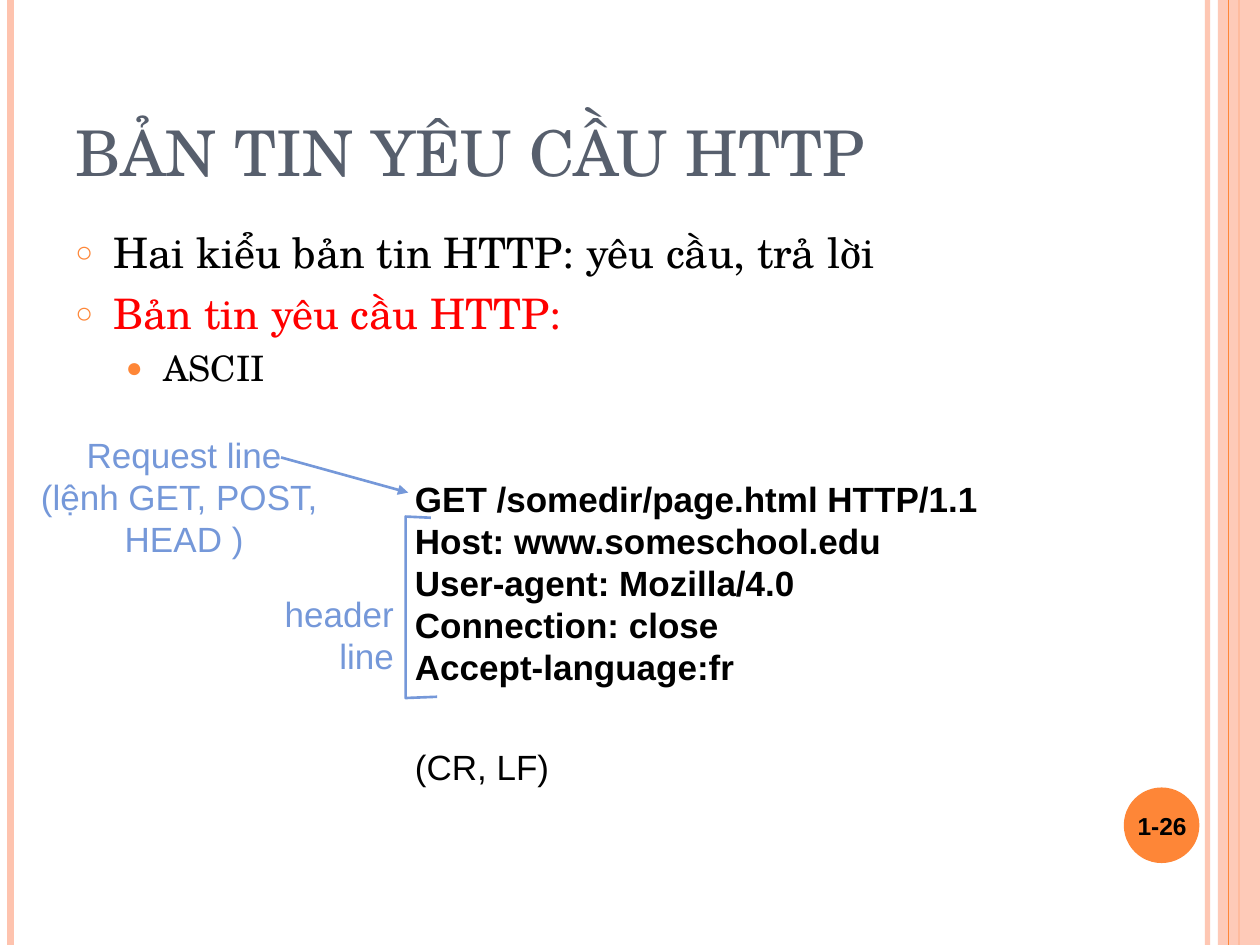
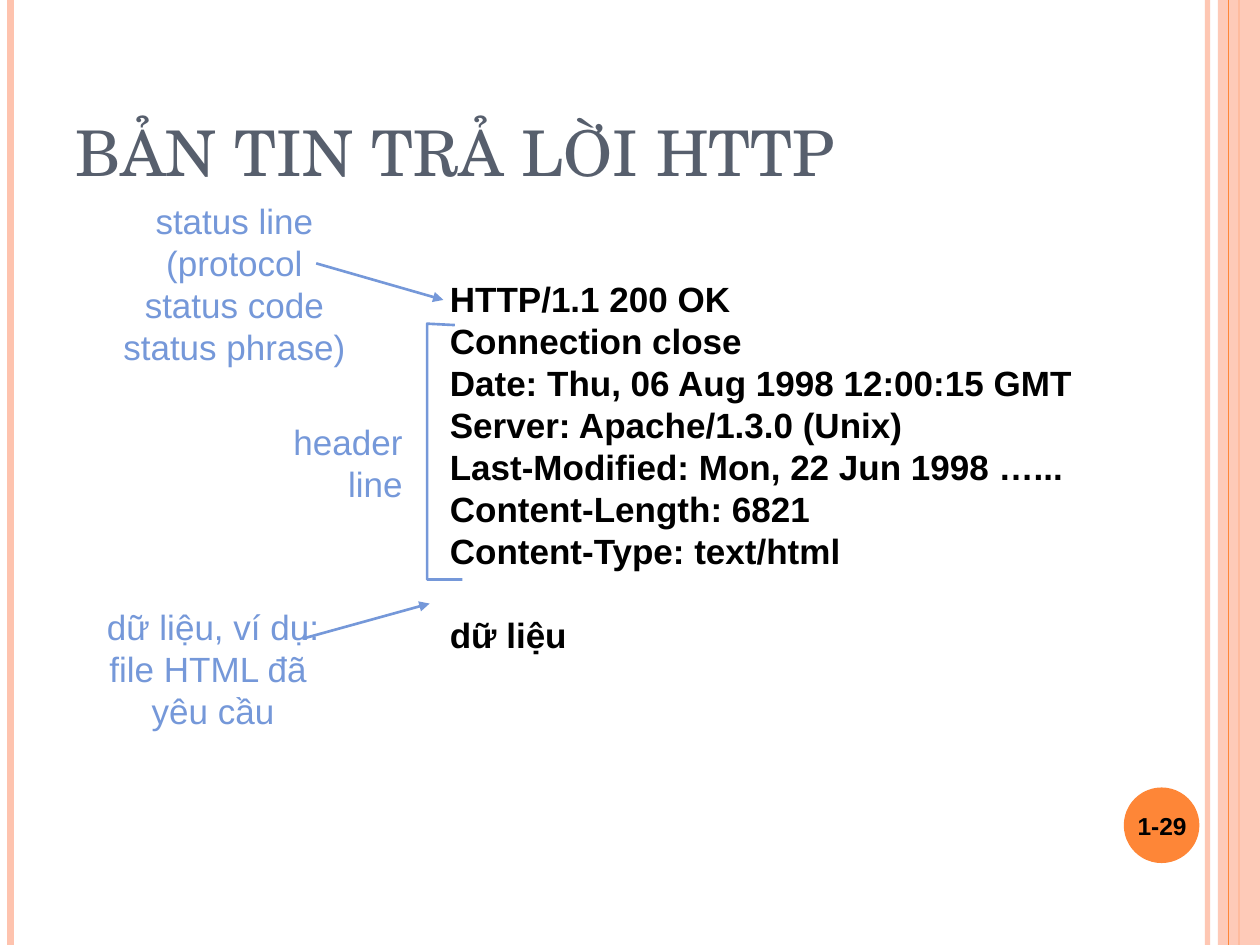
from dataclasses import dataclass

import lxml.etree
import pptx
import pptx.dml.color
import pptx.enum.shapes
import pptx.enum.text
import pptx.oxml.ns
import pptx.util

Pt = pptx.util.Pt
Align = pptx.enum.text.PP_ALIGN
Anchor = pptx.enum.text.MSO_ANCHOR
Shape = pptx.enum.shapes.MSO_SHAPE
qn = pptx.oxml.ns.qn

WIDE, HIGH = 720, 540
SERIF, SANS = "TeX Gyre Schola", "Arial"
COLORS = {
    "peach": "FEC3AE",
    "orange": "FE8637",
    "slate": "575F6D",
    "blue": "7598D9",
    "black": "000000",
    "red": "FF0000",
}


@dataclass(frozen=True)
class Box:
    x: float
    y: float
    w: float
    h: float


@dataclass(frozen=True)
class Style:
    font: str
    size: float
    color: str
    bold: bool = False
    align: Align = Align.LEFT
    anchor: Anchor = Anchor.TOP
    wrap: bool = False


@dataclass(frozen=True)
class Stripe:
    x: float
    color: str
    width: float
    alpha: int = 100


@dataclass(frozen=True)
class Bullet:
    text: str
    size: float
    color: str
    mark: str
    scale: int
    indent: float
    space: float


@dataclass(frozen=True)
class Note:
    box: Box
    lines: list[str]
    style: Style


@dataclass(frozen=True)
class Code:
    box: Box
    lines: list[str]
    last: str
    gap: float
    bold: bool


@dataclass(frozen=True)
class Arrow:
    x: float
    y: float
    tox: float
    toy: float


@dataclass(frozen=True)
class Page:
    title: str
    number: str
    bullets: list[Bullet]
    code: Code
    notes: list[Note]
    arrows: list[Arrow]
    bracket: list[tuple[float, float]]


TITLE = Style(SERIF, 36, "slate", anchor=Anchor.BOTTOM, wrap=True)
NUMBER = Style(SANS, 14, "black", True, Align.CENTER, Anchor.MIDDLE, True)
BODY = Style(SERIF, 24, "black", wrap=True)
CODE = Style(SANS, 20, "black", True)
LABEL = Style(SANS, 20, "blue", align=Align.CENTER)
SIDE = Style(SANS, 20, "blue", align=Align.RIGHT)
BACK = [Stripe(690, "peach", 3, 93), Stripe(6, "peach", 4.5), Stripe(708, "orange", 1.5)]
FRONT = Stripe(702, "orange", 0.75)
HEADER = ["header", "line"]

PAGES = [
    Page(
        "BẢN TIN YÊU CẦU HTTP",
        "1-26",
        [
            Bullet("Hai kiểu bản tin HTTP: yêu cầu, trả lời", 24, "black", "○", 70, 21.6, 0),
            Bullet("Bản tin yêu cầu HTTP:", 24, "red", "○", 70, 21.6, 6),
            Bullet("ASCII", 20, "black", "●", 80, 50.4, 5),
        ],
        Code(
            Box(230, 269.3, 342, 185),
            [
                "GET /somedir/page.html HTTP/1.1",
                "Host: www.someschool.edu",
                "User-agent: Mozilla/4.0",
                "Connection: close",
                "Accept-language:fr",
            ],
            "(CR, LF)", 33, False,
        ),
        [
            Note(Box(10.2, 244.1, 190, 79.2),
                 ["Request line", "(lệnh GET, POST, ", "HEAD )"], LABEL),
            Note(Box(142, 334.8, 90.2, 55.4), HEADER, SIDE),
        ],
        [Arrow(160.6, 261.4, 233.3, 281.5)],
        [(246.2, 295.9), (231.8, 295.2), (231.8, 398.9), (249.8, 398.2)],
    ),
    Page(
        "BẢN TIN TRẢ LỜI HTTP",
        "1-29",
        [],
        Code(
            Box(250, 154.8, 382, 223.2),
            [
                "HTTP/1.1 200 OK",
                "Connection close",
                "Date: Thu, 06 Aug 1998 12:00:15 GMT",
                "Server: Apache/1.3.0 (Unix)",
                "Last-Modified: Mon, 22 Jun 1998 …...",
                "Content-Length: 6821",
                "Content-Type: text/html",
            ],
            "dữ liệu", 24, True,
        ),
        [
            Note(Box(54, 110.2, 160, 103.7),
                 ["status line", "(protocol", "status code", "status phrase)"], LABEL),
            Note(Box(147, 236.9, 90.2, 55.4), HEADER, SIDE),
            Note(Box(41.8, 342.7, 160, 79.2),
                 ["dữ liệu, ví dụ:", "file HTML đã ", "yêu cầu"], LABEL),
        ],
        [Arrow(180.7, 150.5, 253.4, 171.4), Arrow(172.8, 365, 245.5, 344.9)],
        [(259.9, 185.8), (244.1, 185), (244.1, 331.2), (264.2, 331.2)],
    ),
]


def rgb(name: str) -> pptx.dml.color.RGBColor:
    return pptx.dml.color.RGBColor.from_string(COLORS[name])


def place(box: Box) -> list[pptx.util.Length]:
    return [Pt(n) for n in (box.x, box.y, box.w, box.h)]


def fade(part, alpha: int) -> None:
    for tint in part.iter(qn("a:srgbClr")):
        lxml.etree.SubElement(tint, qn("a:alpha"), val=str(alpha * 1000))


def draw_text(slide, box: Box, lines: list[str], style: Style):
    frame = slide.shapes.add_textbox(*place(box)).text_frame
    frame.word_wrap = style.wrap
    frame.vertical_anchor = style.anchor
    frame.text = "\n".join(lines)
    for para in frame.paragraphs:
        para.alignment = style.align
        for run in para.runs:
            font = run.font
            font.name, font.size, font.bold = style.font, Pt(style.size), style.bold
            font.color.rgb = rgb(style.color)
    return frame


def draw_line(slide, path: Arrow, color: str, width: float):
    line = slide.shapes.add_connector(
        pptx.enum.shapes.MSO_CONNECTOR.STRAIGHT,
        Pt(path.x), Pt(path.y), Pt(path.tox), Pt(path.toy))
    line.line.color.rgb = rgb(color)
    line.line.width = Pt(width)
    lxml.etree.SubElement(line._element.spPr, qn("a:effectLst"))
    return line


def draw_stripe(slide, stripe: Stripe) -> None:
    path = Arrow(stripe.x, 0, stripe.x, HIGH)
    line = draw_line(slide, path, stripe.color, stripe.width)
    if stripe.alpha < 100:
        fade(line._element.spPr, stripe.alpha)


def draw_solid(slide, kind: Shape, box: Box, color: str):
    shape = slide.shapes.add_shape(kind, *place(box))
    shape.shadow.inherit = False
    shape.fill.solid()
    shape.fill.fore_color.rgb = rgb(color)
    shape.line.fill.background()
    return shape


def draw_frame(slide, page: Page) -> None:
    for stripe in BACK:
        draw_stripe(slide, stripe)
    band = draw_solid(slide, Shape.RECTANGLE, Box(696, 0, WIDE - 696, HIGH), "peach")
    fade(band._element.spPr, 87)
    draw_stripe(slide, FRONT)
    draw_solid(slide, Shape.OVAL, Box(642.2, 450, 43.2, 43.2), "orange")
    draw_text(slide, Box(36, 21.6, 588, 90), [page.title], TITLE)
    draw_text(slide, Box(640, 451.4, 48.2, 41), [page.number], NUMBER)


def draw_list(slide, items: list[Bullet]) -> None:
    frame = draw_text(slide, Box(36, 126, 588, 384), [item.text for item in items], BODY)
    for para, item in zip(frame.paragraphs, items):
        props = para._p.get_or_add_pPr()
        props.set("marL", str(Pt(item.indent)))
        props.set("indent", str(Pt(-21.6)))
        tint = lxml.etree.SubElement(props, qn("a:buClr"))
        lxml.etree.SubElement(tint, qn("a:srgbClr"), val=COLORS["orange"])
        lxml.etree.SubElement(props, qn("a:buSzPct"), val=str(item.scale * 1000))
        lxml.etree.SubElement(props, qn("a:buFont"), typeface=SANS)
        lxml.etree.SubElement(props, qn("a:buChar"), char=item.mark)
        para.space_before = Pt(item.space)
        font = para.runs[0].font
        font.size = Pt(item.size)
        font.color.rgb = rgb(item.color)


def draw_code(slide, code: Code) -> None:
    frame = draw_text(slide, code.box, [*code.lines, code.last], CODE)
    last = frame.paragraphs[-1]
    last.space_before = Pt(code.gap)
    last.runs[0].font.bold = code.bold


def draw_arrow(slide, arrow: Arrow) -> None:
    line = draw_line(slide, arrow, "blue", 1.5)
    lxml.etree.SubElement(line.line._get_or_add_ln(), qn("a:tailEnd"), type="triangle")


def draw_bracket(slide, points: list[tuple[float, float]]) -> None:
    first, *rest = [(Pt(x), Pt(y)) for x, y in points]
    pen = slide.shapes.build_freeform(*first)
    pen.add_line_segments(rest, close=False)
    shape = pen.convert_to_shape()
    shape.shadow.inherit = False
    shape.fill.background()
    shape.line.color.rgb = rgb("blue")
    shape.line.width = Pt(1.5)


def draw_page(deck, page: Page) -> None:
    slide = deck.slides.add_slide(deck.slide_layouts[6])
    draw_frame(slide, page)
    if page.bullets:
        draw_list(slide, page.bullets)
    draw_code(slide, page.code)
    for note in page.notes:
        draw_text(slide, note.box, note.lines, note.style)
    for arrow in page.arrows:
        draw_arrow(slide, arrow)
    draw_bracket(slide, page.bracket)


def main() -> None:
    deck = pptx.Presentation()
    deck.slide_width, deck.slide_height = Pt(WIDE), Pt(HIGH)
    for page in PAGES:
        draw_page(deck, page)
    deck.save("out.pptx")


if __name__ == "__main__":
    main()
